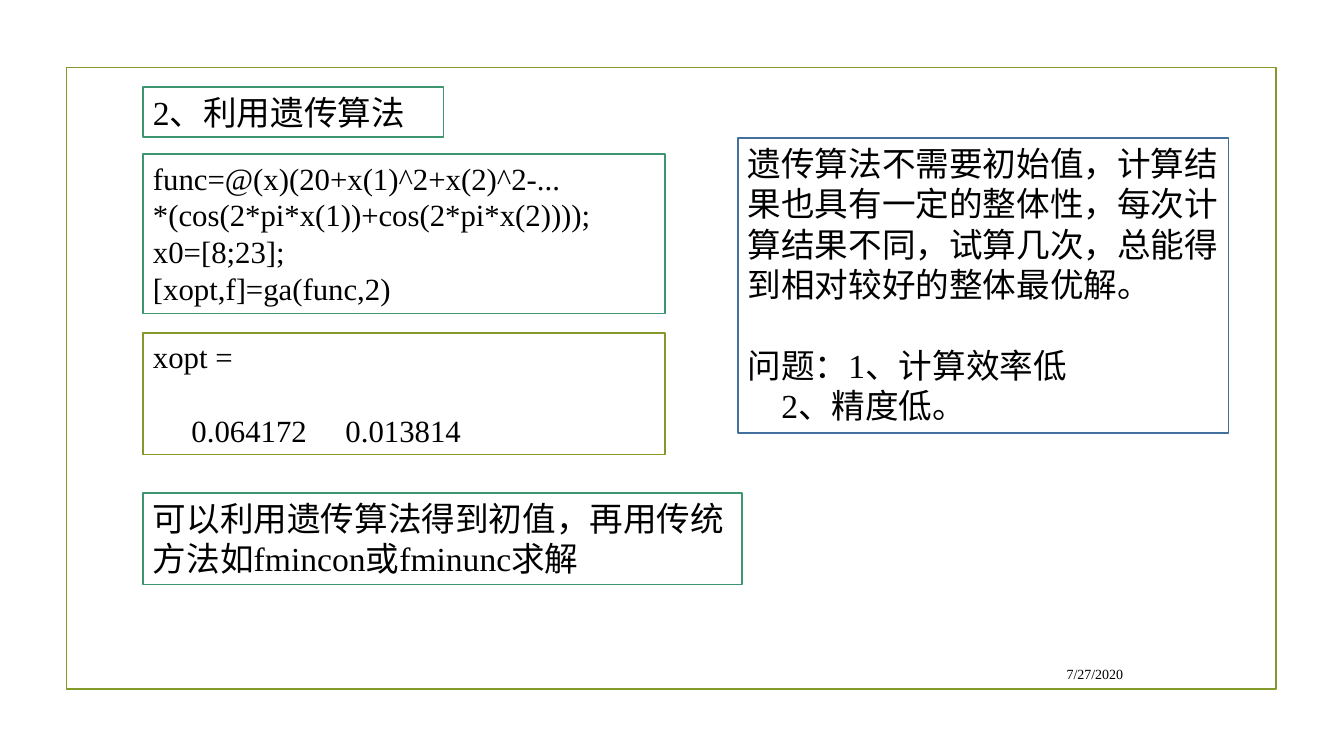
from dataclasses import dataclass

from pptx import Presentation
from pptx import util as u
from pptx.dml.color import RGBColor
from pptx.enum import shapes, text
from pptx.oxml.ns import qn


@dataclass(frozen=True)
class Theme:
    font: str = "Times New Roman"
    ink: str = "000000"
    paper: str = "FFFFFF"
    green: str = "3C9770"
    olive: str = "83992A"
    blue: str = "44709D"
    prose: float = 24
    code: float = 22
    date: float = 10
    border: float = 1.25
    leading: float = 1.2


class SlideBuilder:
    def __init__(self, slide, theme):
        self.slide = slide
        self.theme = theme

    def fill_text(self, box, paragraphs, size, gap_before=(), tabs=(), **formats):
        """Fill a box; paragraphs indexed in gap_before follow a gap of one line."""
        frame = box.text_frame
        frame.word_wrap = True
        frame.vertical_anchor = formats.pop("anchor", text.MSO_ANCHOR.TOP)
        line_height = u.Pt(size * self.theme.leading)
        for index, words in enumerate(paragraphs):
            para = frame.paragraphs[0] if index == 0 else frame.add_paragraph()
            if "\t" in words:
                self.add_tabs(para, tabs)
            values = {"alignment": text.PP_ALIGN.LEFT, "line_spacing": line_height}
            if index in gap_before:
                values["space_before"] = line_height
            for name, value in (values | formats).items():
                setattr(para, name, value)
            span = para.add_run()
            span.text = words
            for name, value in {"name": self.theme.font, "size": u.Pt(size)}.items():
                setattr(span.font, name, value)
            span.font.color.rgb = RGBColor.from_string(self.theme.ink)

    def add_tabs(self, para, positions):
        properties = para._p.get_or_add_pPr()
        stops = properties.makeelement(qn("a:tabLst"), {})
        properties.append(stops)
        for position in positions:
            stop = stops.makeelement(
                qn("a:tab"), {"pos": str(u.Pt(position)), "algn": "l"})
            stops.append(stop)

    def outline(self, bounds, color):
        box = self.slide.shapes.add_shape(
            shapes.MSO_SHAPE.RECTANGLE, *map(u.Pt, bounds))
        box.shadow.inherit = False
        box.fill.background()
        box.line.color.rgb = RGBColor.from_string(color)
        box.line.width = u.Pt(self.theme.border)
        return box

    def panel(self, bounds, color, paragraphs, size, **layout):
        box = self.outline(bounds, color)
        box.fill.solid()
        box.fill.fore_color.rgb = RGBColor.from_string(self.theme.paper)
        self.fill_text(box, paragraphs, size, **layout)

    def date(self, bounds, words):
        box = self.slide.shapes.add_textbox(*map(u.Pt, bounds))
        self.fill_text(box, [words], self.theme.date,
                       anchor=text.MSO_ANCHOR.MIDDLE,
                       alignment=text.PP_ALIGN.RIGHT)


def main():
    deck = Presentation()
    deck.slide_width, deck.slide_height = u.Pt(960), u.Pt(540)
    theme = Theme()
    page = SlideBuilder(deck.slides.add_slide(deck.slide_layouts[6]), theme)
    left, code_width = 102.2, 373

    page.outline((47.5, 48.2, 864, 444.2), theme.olive)
    page.date((683.3, 470.2, 126, 22.3), "7/27/2020")
    page.panel((left, 110.2, code_width, 113.8), theme.green, [
        "func=@(x)(20+x(1)^2+x(2)^2-...",
        "*(cos(2*pi*x(1))+cos(2*pi*x(2))));",
        "x0=[8;23];",
        "[xopt,f]=ga(func,2)",
    ], theme.code)
    page.panel((left, 61.9, 214.6, 36), theme.green, ["2、利用遗传算法"], theme.prose)
    page.panel((left, 237.6, code_width, 87.1), theme.olive,
               ["xopt =", "\t0.064172\t0.013814"], theme.code,
               gap_before=(1,), tabs=(27.5, 137.5))
    page.panel((527, 98.6, 350.6, 211), theme.blue, [
        "遗传算法不需要初始值，计算结果也具有一定的整体性，每次计算结果不同，"
        "试算几次，总能得到相对较好的整体最优解。",
        "问题：1、计算效率低",
        "\t2、精度低。",
    ], theme.prose, gap_before=(1,), tabs=(24,))
    page.panel((left, 352.1, 427.7, 65.5), theme.green,
               ["可以利用遗传算法得到初值，再用传统方法如fmincon或fminunc求解"],
               theme.prose)
    deck.save("out.pptx")


if __name__ == "__main__":
    main()
